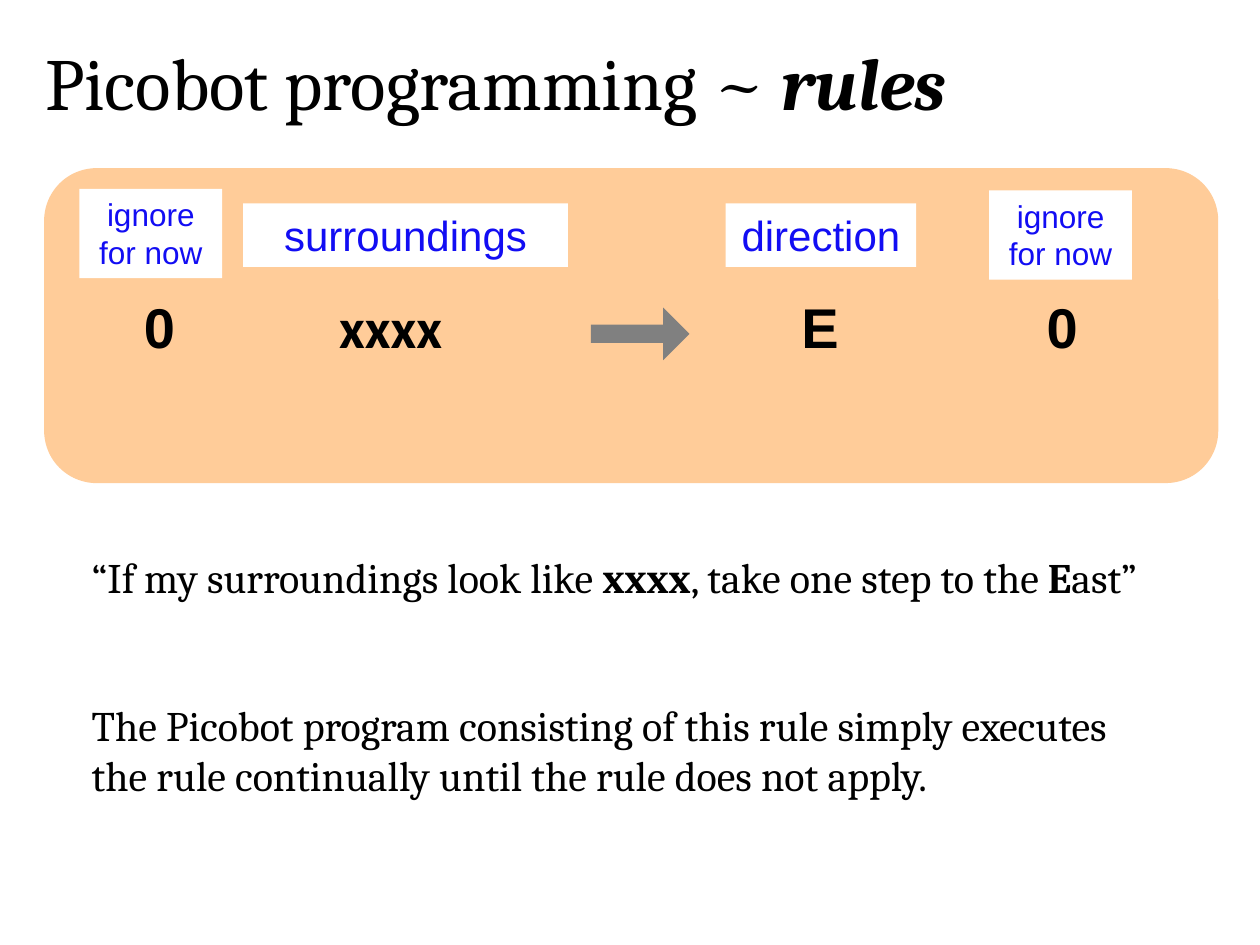
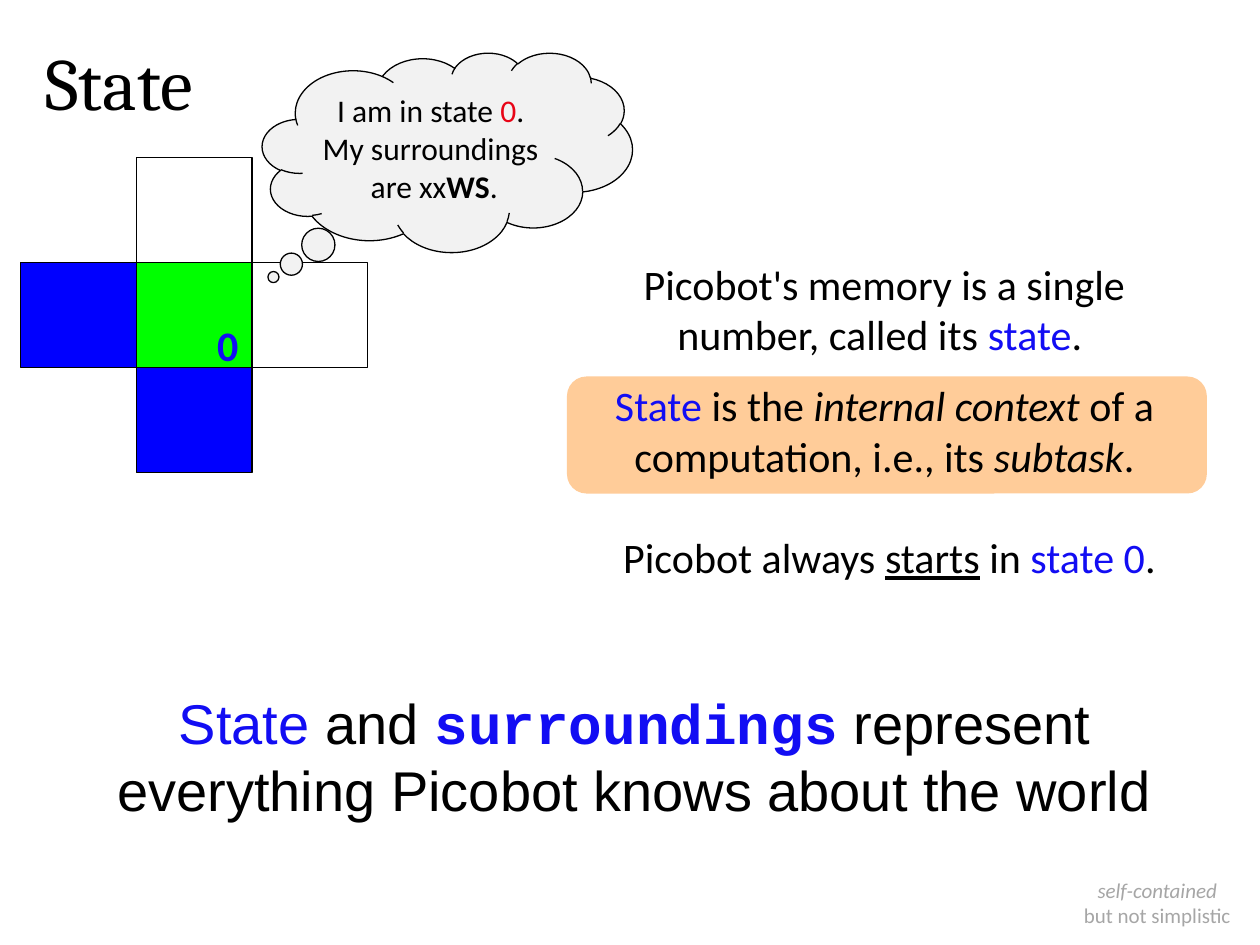
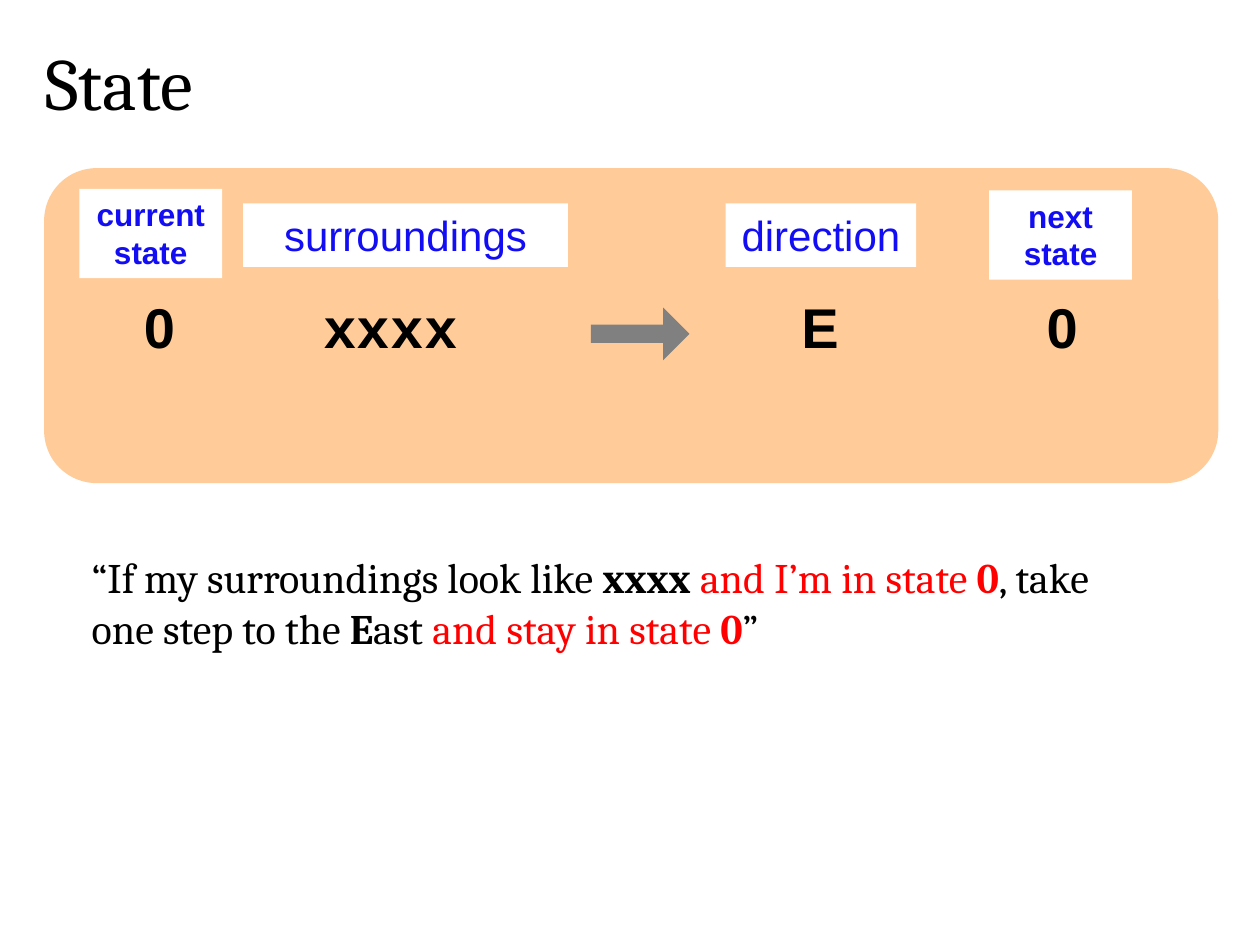
from dataclasses import dataclass

from pptx import Presentation
from pptx.dml.color import RGBColor
from pptx.enum.shapes import MSO_SHAPE
from pptx.enum.text import MSO_ANCHOR, MSO_AUTO_SIZE, PP_ALIGN
from pptx.util import Cm, Pt

RECT = MSO_SHAPE.RECTANGLE
ROUNDED = MSO_SHAPE.ROUNDED_RECTANGLE
ARROW = MSO_SHAPE.RIGHT_ARROW
CLOUD = MSO_SHAPE.CLOUD_CALLOUT
TOP, MIDDLE = MSO_ANCHOR.TOP, MSO_ANCHOR.MIDDLE
LEFT, CENTER = PP_ALIGN.LEFT, PP_ALIGN.CENTER
GROW, FIXED = MSO_AUTO_SIZE.SHAPE_TO_FIT_TEXT, MSO_AUTO_SIZE.NONE


@dataclass(frozen=True)
class Theme:
    ink: str = "000000"
    white: str = "FFFFFF"
    accent: str = "120DF3"
    alert: str = "FF0000"
    cloud_alert: str = "E80416"
    panel: str = "FFCC99"
    arrow: str = "808080"
    cloud: str = "F2F2F2"
    muted: str = "A6A6A6"
    wall: str = "0000FF"
    robot: str = "00FF00"
    serif: str = "Cambria"
    sans: str = "Arial"
    body: str = "Calibri"
    mono: str = "Courier New"
    title_size: int = 42
    large: int = 32
    text: int = 24
    small: int = 18
    note: int = 12
    line: float = 0.75


T = Theme()


@dataclass(frozen=True)
class Box:
    x: float
    y: float
    w: float
    h: float

    def inside(self, dx, dy, w, h):
        return Box(self.x + dx, self.y + dy, w, h)

    def emu(self):
        return Cm(self.x), Cm(self.y), Cm(self.w), Cm(self.h)


TITLE = Box(0.66, 0.61, 20.75, 2.06)
RULE = Box(0.89, 3.39, 23.67, 6.35)
READING = Box(1.6, 11, 21.7, 1.27)


def run(text, flags="", color=T.ink, font=None):
    return text, flags, color, font


def write(tf, paragraphs, font, size, align=LEFT, anchor=TOP,
          wrap=True, fit=GROW, gap=0):
    tf.word_wrap = wrap
    tf.auto_size = fit
    tf.vertical_anchor = anchor
    for i, runs in enumerate(paragraphs):
        p = tf.add_paragraph() if i else tf.paragraphs[0]
        p.alignment = align
        if i and gap:
            p.space_before = Pt(gap)
        for text, flags, color, own_font in runs:
            r = p.add_run()
            r.text = text
            r.font.name = own_font or font
            r.font.size = Pt(size)
            r.font.color.rgb = RGBColor.from_string(color)
            r.font.bold = "b" in flags
            r.font.italic = "i" in flags
            r.font.underline = "u" in flags


def add_text(s, box, paragraphs, font, size, **options):
    sp = s.shapes.add_textbox(*box.emu())
    write(sp.text_frame, paragraphs, font, size, **options)


def add_shape(s, kind, box, fill=None, outlined=False, adjust=()):
    sp = s.shapes.add_shape(kind, *box.emu())
    sp.shadow.inherit = False
    for i, value in enumerate(adjust):
        sp.adjustments[i] = value
    if fill:
        sp.fill.solid()
        sp.fill.fore_color.rgb = RGBColor.from_string(fill)
    else:
        sp.fill.background()
    if outlined:
        sp.line.color.rgb = RGBColor.from_string(T.ink)
        sp.line.width = Pt(T.line)
    else:
        sp.line.fill.background()
    return sp


def add_slide(prs, title, box=TITLE):
    s = prs.slides.add_slide(prs.slide_layouts[5])
    sp = s.shapes.title
    sp.left, sp.top, sp.width, sp.height = box.emu()
    write(sp.text_frame, [title], T.serif, T.title_size)
    return s


def rule_panel(s, box, first, last, flags, surroundings_font):
    add_shape(s, ROUNDED, box, T.panel)
    labels = [
        (first, flags, T.small, (0.71, 0.42, 2.88, 1.8)),
        ("surroundings", "", T.text, (4.01, 0.71, 6.55, 1.28)),
        ("direction", "", T.text, (13.74, 0.71, 3.84, 1.28)),
        (last, flags, T.small, (19.05, 0.45, 2.88, 1.8)),
    ]
    for text, style, size, place in labels:
        sp = add_shape(s, RECT, box.inside(*place), T.white)
        write(sp.text_frame, [[run(text, style, T.accent)]], T.sans, size, align=CENTER)
    values = [
        ("0", T.sans, 1.27, 2.11),
        ("xxxx", surroundings_font, 5.08, 3.81),
        ("E", T.sans, 13.74, 3.81),
        ("0", T.sans, 18.62, 3.81),
    ]
    for text, font, dx, w in values:
        add_text(s, box.inside(dx, 2.38, w, 1.63), [[run(text, "b")]],
                 font, T.large, align=CENTER)
    add_shape(s, ARROW, box.inside(11.02, 2.81, 1.99, 1.06), T.arrow, adjust=(0.344, 0.5))


def surroundings_map(s, box):
    w, h = box.w / 3, box.h / 3
    cells = [(1, 1, T.robot), (0, 1, T.wall), (1, 0, None), (1, 2, T.wall), (2, 1, None)]
    for col, row, fill in cells:
        add_shape(s, RECT, box.inside(col * w, row * h, w, h), fill, outlined=True)
    add_text(s, box.inside(3.71, 3.13, 0.94, 1.3), [[run("0", "b", T.accent)]],
             T.body, T.text, wrap=False)


def thought(s, box):
    sp = add_shape(s, CLOUD, box, T.cloud, outlined=True, adjust=(-0.47, 0.626))
    write(sp.text_frame, [
        [run("I am in state "), run("0", color=T.cloud_alert), run(". ")],
        [run("My surroundings ")],
        [run("are xx"), run("WS", "b"), run(".")],
    ], T.body, T.small, align=CENTER, anchor=MIDDLE, wrap=False, fit=FIXED)


def memory_facts(s, box):
    add_shape(s, ROUNDED, box.inside(0, 2.51, 12.9, 2.36), T.panel)
    add_text(s, box.inside(0.05, 0, 12.7, 4.88), [
        [run("Picobot's memory is a single number, called its "),
         run("state", color=T.accent), run(". ")],
        [run("State", color=T.accent), run(" is the "), run("internal context ", "i"),
         run("of a computation, i.e., its "), run("subtask", "i"), run(".")],
    ], T.body, T.text, align=CENTER, gap=T.text / 2)
    add_text(s, box.inside(0.05, 5.51, 12.9, 1.27), [
        [run("Picobot always "), run("starts", "u"), run(" in "),
         run("state 0", color=T.accent), run(".")],
    ], T.body, T.text, align=CENTER)


def rules_slide(prs):
    s = add_slide(prs, [run("Picobot programming ~ "), run("rules", "bi")])
    rule_panel(s, RULE, "ignore for now", "ignore for now", "", T.body)
    add_text(s, READING, [
        [run("“If my surroundings look like "), run("xxxx", "b"),
         run(", take one step to the "), run("E", "b"), run("ast”")],
    ], T.serif, T.text)
    add_text(s, READING.inside(0, 2.97, READING.w, 2.31), [
        [run("The Picobot program consisting of this rule simply executes "
             "the rule continually until the rule does not apply.")],
    ], T.serif, T.text)


def state_slide(prs):
    s = add_slide(prs, [run("State")], TITLE.inside(0, 0, 8.25, TITLE.h))
    surroundings_map(s, Box(0.42, 3.18, 6.99, 6.35))
    memory_facts(s, Box(11.43, 5.08, 12.9, 6.78))
    add_text(s, Box(1.47, 13.76, 22.65, 3), [
        [run("State", color=T.accent), run(" and "),
         run("surroundings", "b", T.accent, T.mono),
         run(" represent everything Picobot knows about the world")],
    ], T.sans, T.large, align=CENTER)
    thought(s, Box(5.29, 1.06, 7.46, 4.02))
    add_text(s, Box(21.58, 17.57, 3.5, 1.28), [
        [run("self-contained", "i", T.muted)],
        [run("but not simplistic", "", T.muted)],
    ], T.body, T.note, align=CENTER, wrap=False)


def state_rule_slide(prs):
    s = add_slide(prs, [run("State")])
    rule_panel(s, RULE, "current state", "next state", "b", T.mono)
    add_text(s, READING.inside(0, 0, READING.w, 2.31), [
        [run("“If my surroundings look like "), run("xxxx ", "b"),
         run("and I’m in state ", color=T.alert), run("0", "b", T.alert),
         run(", take one step to the "), run("E", "b"), run("ast "),
         run("and stay in state ", color=T.alert), run("0", "b", T.alert), run("”")],
    ], T.serif, T.text)


def main():
    prs = Presentation()
    prs.slide_width, prs.slide_height = Cm(25.4), Cm(19.05)
    rules_slide(prs)
    state_slide(prs)
    state_rule_slide(prs)
    prs.save("out.pptx")


if __name__ == "__main__":
    main()
